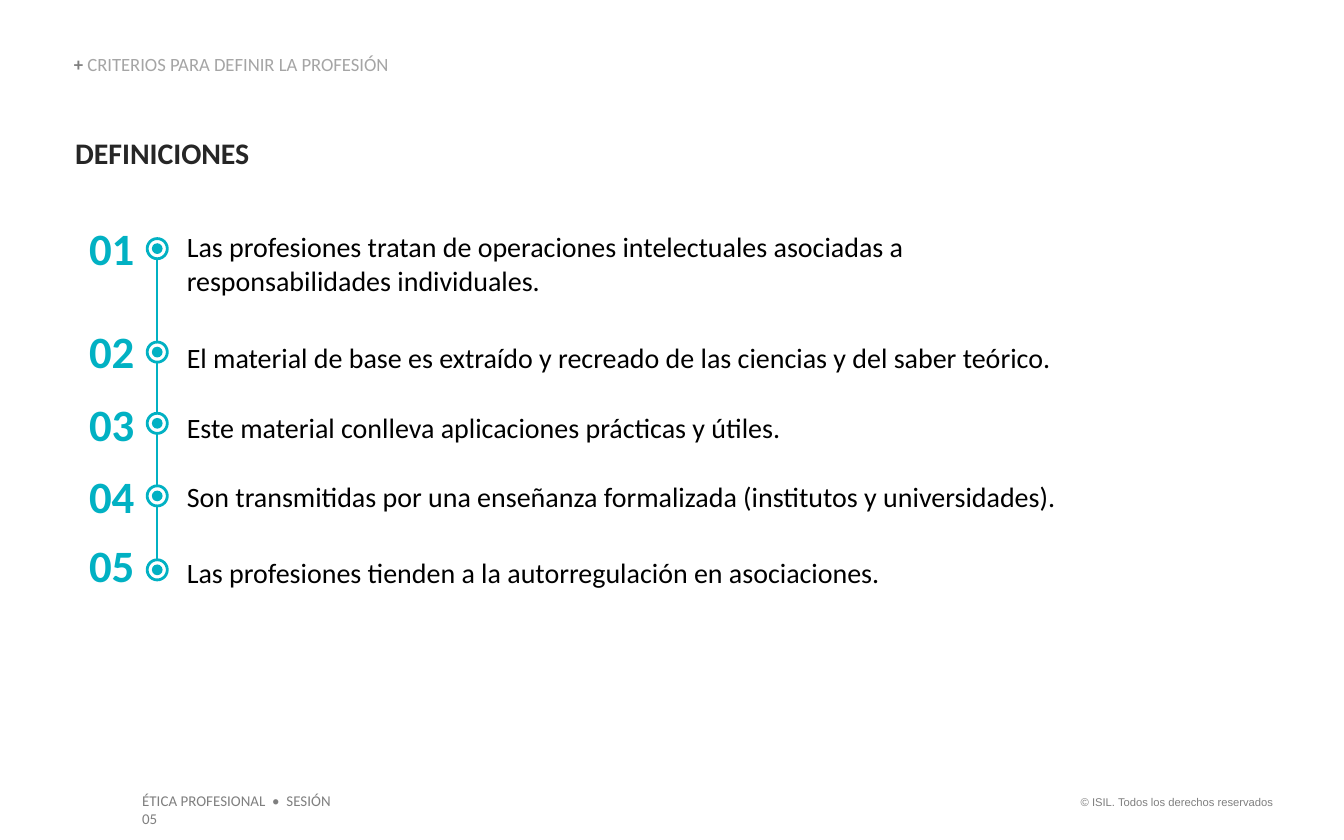
from dataclasses import dataclass

from lxml.etree import SubElement
from pptx import Presentation
from pptx.dml.color import RGBColor
from pptx.enum.shapes import MSO_CONNECTOR, MSO_SHAPE
from pptx.enum.text import MSO_ANCHOR, MSO_AUTO_SIZE, PP_ALIGN
from pptx.oxml.ns import qn
from pptx.util import Inches, Pt


@dataclass(frozen=True)
class Theme:
    """Colours, fonts and type sizes of the slide."""
    accent: RGBColor = RGBColor(0x01, 0xB1, 0xC3)
    white: RGBColor = RGBColor(0xFF, 0xFF, 0xFF)
    body: RGBColor = RGBColor(0x00, 0x00, 0x00)
    heading: RGBColor = RGBColor(0x26, 0x26, 0x26)
    muted: RGBColor = RGBColor(0x7F, 0x7F, 0x7F)
    pale: RGBColor = RGBColor(0xA5, 0xA5, 0xA5)
    font: str = "Calibri"
    legal_font: str = "Arial"
    number_size: int = 24
    heading_size: int = 16
    body_size: int = 15
    title_size: int = 10
    footer_size: int = 8
    legal_size: int = 6


@dataclass(frozen=True)
class Box:
    """Position and size in inches."""
    left: float
    top: float
    width: float
    height: float


@dataclass(frozen=True)
class Definition:
    """One statement with the heights of its parts below the list top."""
    statement: str
    number_top: float
    dot_center: float
    statement_top: float
    statement_height: float = 0.22
    spacing: float = 1.05


THEME = Theme()
DEFINITIONS = (
    Definition("Las profesiones tratan de operaciones intelectuales asociadas a "
               "responsabilidades individuales.", 0, 0.21, 0.07, 0.5, 1.0),
    Definition("El material de base es extraído y recreado de las ciencias y del "
               "saber teórico.", 0.77, 0.98, 0.88),
    Definition("Este material conlleva aplicaciones prácticas y útiles.",
               1.31, 1.51, 1.4),
    Definition("Son transmitidas por una enseñanza formalizada (institutos y "
               "universidades).", 1.85, 2.05, 1.93, 0.25, 1.0),
    Definition("Las profesiones tienden a la autorregulación en asociaciones.",
               2.36, 2.6, 2.48),
)


def style_run(run, size, color, bold=False, font=THEME.font):
    """Format one run."""
    run.font.name = font
    run.font.size = Pt(size)
    run.font.bold = bold
    run.font.color.rgb = color


def prepare_frame(frame, inset_x=0, inset_y=0):
    """Set wrapping, growth and insets of a text frame."""
    frame.word_wrap = True
    frame.auto_size = MSO_AUTO_SIZE.SHAPE_TO_FIT_TEXT
    frame.margin_left = frame.margin_right = Inches(inset_x)
    frame.margin_top = frame.margin_bottom = Inches(inset_y)


def add_label(slide, box, wording, size, color, bold=False, font=THEME.font,
              align=PP_ALIGN.LEFT, spacing=1.0, insets=(0, 0)):
    """Add a one-paragraph text box."""
    label = slide.shapes.add_textbox(Inches(box.left), Inches(box.top),
                                     Inches(box.width), Inches(box.height))
    prepare_frame(label.text_frame, *insets)
    label.text_frame.text = wording
    paragraph = label.text_frame.paragraphs[0]
    paragraph.alignment = align
    paragraph.line_spacing = spacing
    style_run(paragraph.runs[0], size, color, bold, font)


def place_title(slide, box):
    """Move and format the title placeholder."""
    title = slide.shapes.title
    title.left, title.top = Inches(box.left), Inches(box.top)
    title.width, title.height = Inches(box.width), Inches(box.height)
    prepare_frame(title.text_frame)
    title.text_frame.vertical_anchor = MSO_ANCHOR.BOTTOM
    paragraph = title.text_frame.paragraphs[0]
    paragraph.alignment = PP_ALIGN.LEFT
    paragraph.line_spacing = 0.9
    for wording, color, bold in (("+ ", THEME.muted, True),
                                 ("CRITERIOS PARA DEFINIR LA PROFESIÓN", THEME.pale, False)):
        run = paragraph.add_run()
        run.text = wording
        style_run(run, THEME.title_size, color, bold)


def add_timeline(slide, x, top, bottom):
    """Draw the vertical line that links the markers."""
    timeline = slide.shapes.add_connector(MSO_CONNECTOR.STRAIGHT, Inches(x), Inches(top),
                                          Inches(x), Inches(bottom))
    timeline.line.color.rgb = THEME.accent
    timeline.line.width = Pt(1)
    SubElement(timeline._element.spPr, qn("a:effectLst"))


def add_marker(slide, x, y):
    """Draw a ring with a dot, grouped around one centre."""
    marker = slide.shapes.add_group_shape()
    for diameter, fill in ((0.15, THEME.white), (0.08, THEME.accent)):
        disc = marker.shapes.add_shape(MSO_SHAPE.OVAL, Inches(x - diameter / 2),
                                       Inches(y - diameter / 2),
                                       Inches(diameter), Inches(diameter))
        disc.shadow.inherit = False
        disc.fill.solid()
        disc.fill.fore_color.rgb = fill
        if fill == THEME.white:
            disc.line.color.rgb = THEME.accent
            disc.line.width = Pt(1.5)
        else:
            disc.line.fill.background()


def add_definitions(slide, box):
    """Place the numbered definitions along their timeline."""
    axis = box.left + 0.61
    statement_left = 0.83
    add_timeline(slide, axis, box.top + DEFINITIONS[0].dot_center,
                 box.top + DEFINITIONS[-1].dot_center)
    for number, item in enumerate(DEFINITIONS, 1):
        add_label(slide, Box(box.left, box.top + item.number_top, 0.44, 0.4),
                  f"{number:02}", THEME.number_size, THEME.accent, bold=True,
                  align=PP_ALIGN.RIGHT)
        add_marker(slide, axis, box.top + item.dot_center)
        add_label(slide, Box(box.left + statement_left, box.top + item.statement_top,
                             box.width - statement_left, item.statement_height),
                  item.statement, THEME.body_size, THEME.body, spacing=item.spacing)


def add_footer(slide, box):
    """Place the course name at the left and the rights line at the right."""
    insets = (0.1, 0.05)
    rights_width = 1.69
    add_label(slide, Box(box.left, box.top, 1.74, box.height),
              "ÉTICA PROFESIONAL  •  SESIÓN 05", THEME.footer_size, THEME.muted,
              insets=insets)
    add_label(slide, Box(box.left + box.width - rights_width, box.top + 0.03,
                         rights_width, 0.2),
              "© ISIL. Todos los derechos reservados", THEME.legal_size, THEME.muted,
              font=THEME.legal_font, align=PP_ALIGN.RIGHT, insets=insets)


def main():
    """Build and save the slide."""
    presentation = Presentation()
    presentation.slide_width, presentation.slide_height = Inches(10), Inches(6.25)
    slide = presentation.slides.add_slide(presentation.slide_layouts[5])
    place_title(slide, Box(0.55, 0.41, 5.91, 0.15))
    add_label(slide, Box(0.56, 1, 1.94, 0.27), "DEFINICIONES", THEME.heading_size,
              THEME.heading, bold=True)
    add_definitions(slide, Box(0.56, 1.64, 7.53, 2.76))
    add_footer(slide, Box(0.96, 5.84, 8.61, 0.24))
    presentation.save("out.pptx")


if __name__ == "__main__":
    main()
